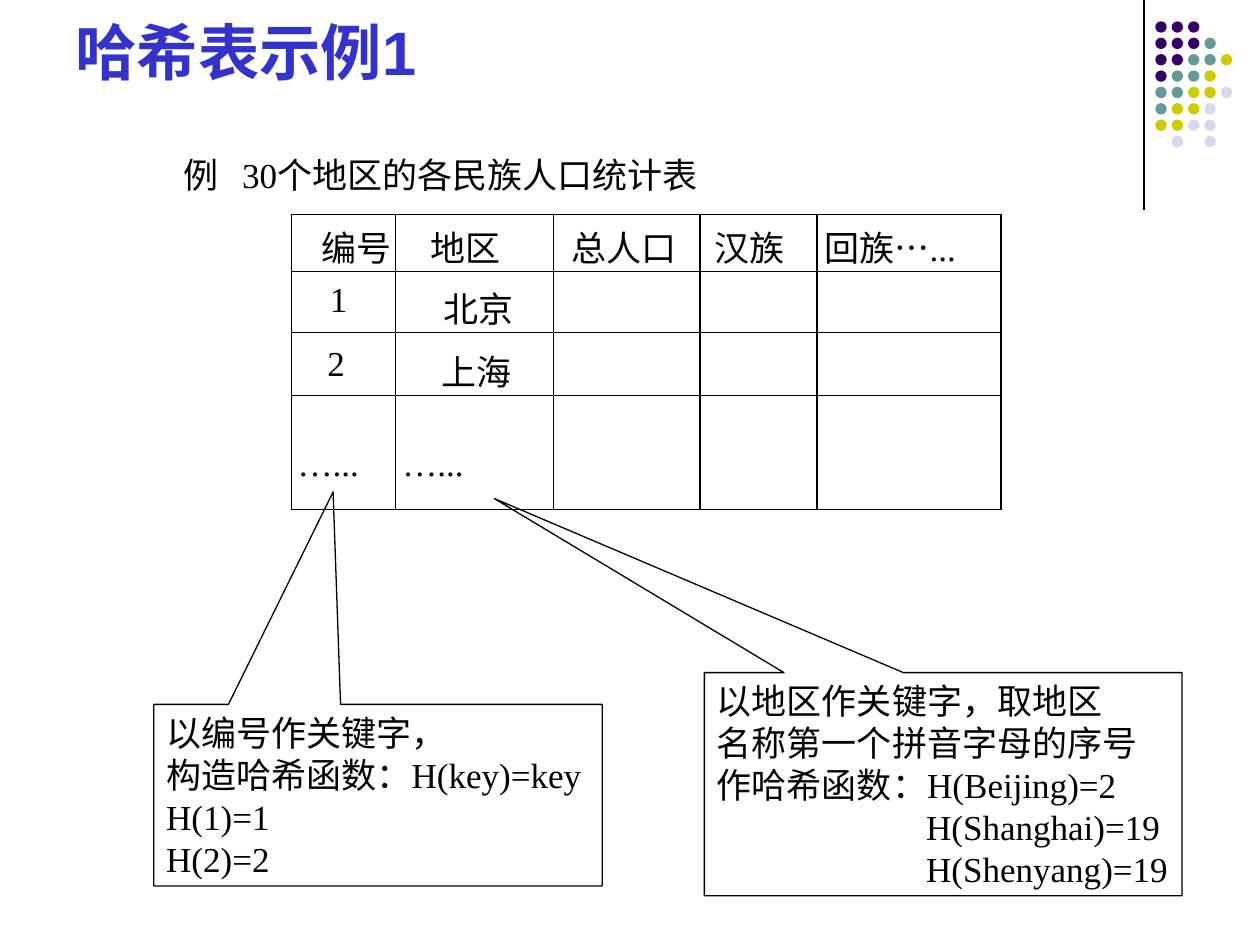
"""Build the hash table example slide with its population table and two callouts."""
from dataclasses import dataclass
from typing import Sequence

import lxml.etree
import pptx
import pptx.dml.color
import pptx.enum.shapes
import pptx.enum.text
import pptx.oxml.ns
import pptx.util

Cm = pptx.util.Cm
Anchor = pptx.enum.text.MSO_ANCHOR
Shape = pptx.enum.shapes.MSO_SHAPE
qn = pptx.oxml.ns.qn


@dataclass(frozen=True)
class Theme:
    ink: str = "000000"
    title: str = "3333CC"
    title_font: str = "Arial"
    body_font: str = "Times New Roman"
    title_size: int = 35
    body_size: int = 20
    line_width: float = 0.75
    purple: str = "330066"
    teal: str = "669999"
    yellow: str = "CCCC00"
    lavender: str = "D8D8EC"


@dataclass(frozen=True)
class Box:
    left: float
    top: float
    width: float
    height: float

    def lengths(self) -> tuple:
        return Cm(self.left), Cm(self.top), Cm(self.width), Cm(self.height)


@dataclass(frozen=True)
class Callout:
    box: Box
    tip: tuple[float, float]
    lines: tuple[str, ...]
    indented: int = 0


@dataclass(frozen=True)
class TableRow:
    height: float
    top_margin: float
    left_margins: tuple[float, ...]
    texts: tuple[str, ...]
    vertical: bool = False


THEME = Theme()
INDENT = 4.22
CAPTION_TAB = 1.18
DOT_SIZE, DOT_PITCH = 0.23, 0.33
DOT_LEFT, DOT_TOP = 23.29, 0.43
DOT_ROWS = ("PPP", "PPPT", "PPTTY", "PTTY", "TTYYL", "TYYL", "YYLL", " L L")
DOT_COLORS = {"P": THEME.purple, "T": THEME.teal, "Y": THEME.yellow, "L": THEME.lavender}

TABLE_LEFT, TABLE_TOP = 5.87, 4.32
COLUMN_WIDTHS = (2.11, 3.18, 2.95, 2.36, 3.71)
TABLE_ROWS = (
    TableRow(1.02, 0.13, (0.61, 0.69, 0.36, 0.3, 0.15), ("编号", "地区", "总人口", "汉族", "回族…...")),
    TableRow(1.12, 0.2, (0.78, 0.96), ("1", "北京")),
    TableRow(1.22, 0.25, (0.73, 0.91), ("2", "上海")),
    TableRow(2.29, 0.48, (0.13, 0.13), ("…...", "…..."), vertical=True),
)
CALLOUTS = (
    Callout(Box(3.1, 14.2, 9.04, 3.66), (-0.1, -1.67),
            ("以编号作关键字，", "构造哈希函数：H(key)=key", "H(1)=1", "H(2)=2")),
    Callout(Box(14.2, 13.56, 9.63, 4.5), (-0.94, -1.28),
            ("以地区作关键字，取地区", "名称第一个拼音字母的序号", "作哈希函数：H(Beijing)=2",
             "H(Shanghai)=19", "H(Shenyang)=19"), indented=2),
)


def rgb(value: str) -> pptx.dml.color.RGBColor:
    return pptx.dml.color.RGBColor.from_string(value)


def write_text(frame, lines: Sequence[str], *, font: str = THEME.body_font,
               size: int = THEME.body_size, color: str = THEME.ink, bold: bool = False,
               anchor=Anchor.TOP, indented: int = 0) -> None:
    frame.word_wrap = True
    frame.auto_size = pptx.enum.text.MSO_AUTO_SIZE.NONE
    frame.vertical_anchor = anchor
    frame.margin_right = 0
    for index, line in enumerate(lines):
        paragraph = frame.paragraphs[0] if index == 0 else frame.add_paragraph()
        paragraph.alignment = pptx.enum.text.PP_ALIGN.LEFT
        if index >= len(lines) - indented:
            properties = paragraph._p.get_or_add_pPr()
            properties.set("marL", str(Cm(INDENT)))
            properties.set("indent", "0")
        run = paragraph.add_run()
        run.text = line
        run.font.name = font
        run.font.size = pptx.util.Pt(size)
        run.font.bold = bold
        run.font.color.rgb = rgb(color)


def style_line(line) -> None:
    line.color.rgb = rgb(THEME.ink)
    line.width = pptx.util.Pt(THEME.line_width)


def draw_corner(slide) -> None:
    rule = slide.shapes.add_connector(
        pptx.enum.shapes.MSO_CONNECTOR.STRAIGHT, Cm(23.06), 0, Cm(23.06), Cm(4.24))
    style_line(rule.line)
    lxml.etree.SubElement(rule._element.spPr, qn("a:effectLst"))
    for row, pattern in enumerate(DOT_ROWS):
        for column, key in enumerate(pattern):
            if key == " ":
                continue
            box = Box(DOT_LEFT + column * DOT_PITCH, DOT_TOP + row * DOT_PITCH, DOT_SIZE, DOT_SIZE)
            dot = slide.shapes.add_shape(Shape.OVAL, *box.lengths())
            dot.shadow.inherit = False
            dot.fill.solid()
            dot.fill.fore_color.rgb = rgb(DOT_COLORS[key])
            dot.line.fill.background()


def draw_caption(slide) -> None:
    caption = slide.shapes.add_textbox(*Box(3.45, 2.97, 11.05, 1.12).lengths())
    write_text(caption.text_frame, ["例\t30个地区的各民族人口统计表"])
    properties = caption.text_frame.paragraphs[0]._p.get_or_add_pPr()
    tabs = lxml.etree.SubElement(properties, qn("a:tabLst"))
    lxml.etree.SubElement(tabs, qn("a:tab"), pos=str(Cm(CAPTION_TAB)), algn="l")


def add_borders(cell) -> None:
    properties = cell._tc.get_or_add_tcPr()
    for side in ("a:lnL", "a:lnR", "a:lnT", "a:lnB"):
        border = lxml.etree.SubElement(
            properties, qn(side), w=str(pptx.util.Pt(THEME.line_width)))
        fill = lxml.etree.SubElement(border, qn("a:solidFill"))
        lxml.etree.SubElement(fill, qn("a:srgbClr"), val=THEME.ink)


def write_cell(cell, text: str, left: float, row: TableRow) -> None:
    cell.margin_left = Cm(left)
    cell.margin_right = Cm(left) if row.vertical else 0
    cell.vertical_anchor = Anchor.MIDDLE if row.vertical else Anchor.TOP
    if row.vertical:
        cell._tc.get_or_add_tcPr().set("vert", "eaVert")
    paragraph = cell.text_frame.paragraphs[0]
    paragraph.text = text
    paragraph.font.name = THEME.body_font
    paragraph.font.size = pptx.util.Pt(THEME.body_size)
    paragraph.font.color.rgb = rgb(THEME.ink)


def draw_table(slide) -> None:
    box = Box(TABLE_LEFT, TABLE_TOP, sum(COLUMN_WIDTHS), sum(row.height for row in TABLE_ROWS))
    table = slide.shapes.add_table(len(TABLE_ROWS), len(COLUMN_WIDTHS), *box.lengths()).table
    table.first_row = table.horz_banding = False
    for column, width in zip(table.columns, COLUMN_WIDTHS):
        column.width = Cm(width)
    for table_row, row in zip(table.rows, TABLE_ROWS):
        table_row.height = Cm(row.height)
        for cell in table_row.cells:
            add_borders(cell)
            cell.fill.background()
            cell.margin_top, cell.margin_bottom = Cm(row.top_margin), 0
        for cell, text, left in zip(table_row.cells, row.texts, row.left_margins):
            write_cell(cell, text, left, row)


def draw_callout(slide, callout: Callout) -> None:
    shape = slide.shapes.add_shape(Shape.RECTANGULAR_CALLOUT, *callout.box.lengths())
    shape.shadow.inherit = False
    shape.fill.background()
    style_line(shape.line)
    for index, value in enumerate(callout.tip):
        shape.adjustments[index] = value
    write_text(shape.text_frame, callout.lines, anchor=Anchor.MIDDLE, indented=callout.indented)


def main() -> None:
    presentation = pptx.Presentation()
    presentation.slide_width, presentation.slide_height = Cm(25.4), Cm(19.05)
    slide = presentation.slides.add_slide(presentation.slide_layouts[5])
    draw_corner(slide)
    title = slide.shapes.title
    title.left, title.top, title.width, title.height = Box(1.27, 0.33, 21.39, 1.57).lengths()
    write_text(title.text_frame, ["哈希表示例1"], font=THEME.title_font, size=THEME.title_size,
               color=THEME.title, bold=True, anchor=Anchor.BOTTOM)
    draw_caption(slide)
    draw_table(slide)
    for callout in CALLOUTS:
        draw_callout(slide, callout)
    presentation.save("out.pptx")


if __name__ == "__main__":
    main()
